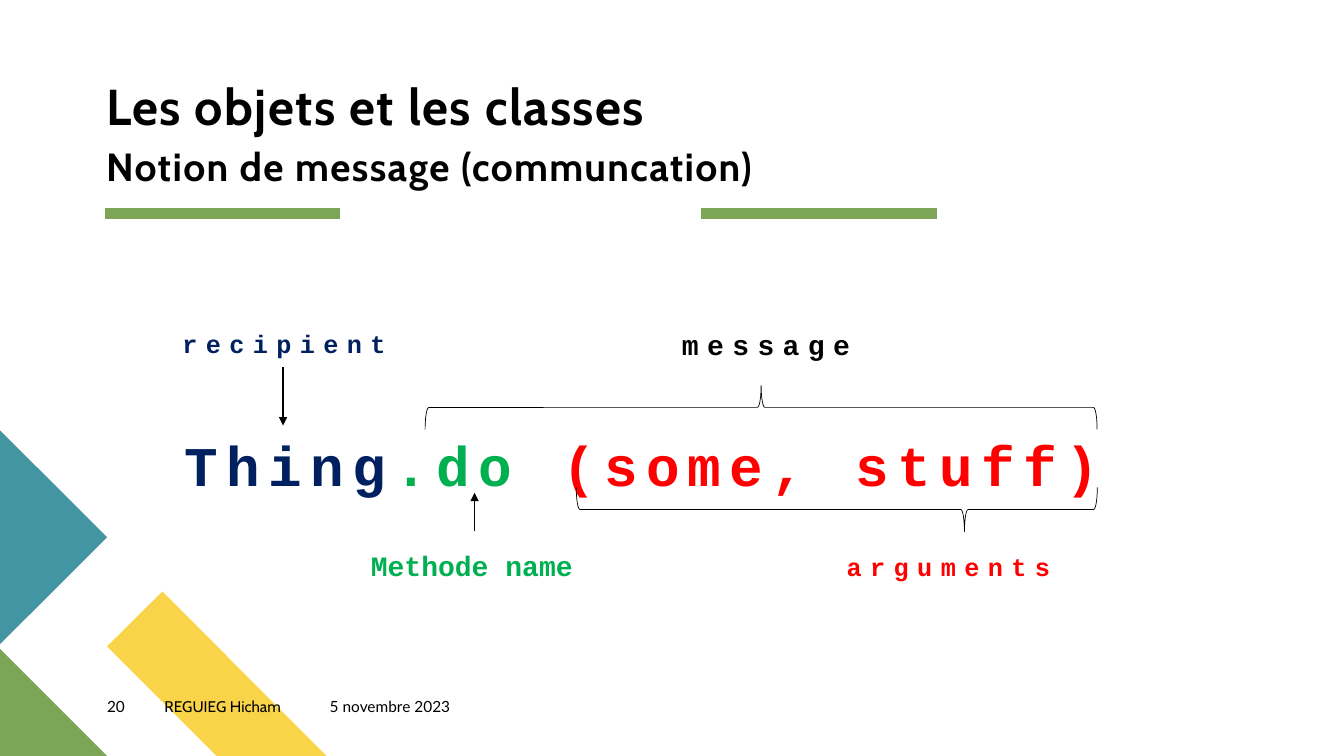
from dataclasses import dataclass

from lxml import etree
from pptx import Presentation
from pptx import util as u
from pptx.dml.color import RGBColor
from pptx.enum import shapes, text
from pptx.oxml import ns

BLACK = RGBColor(0x00, 0x00, 0x00)
NAVY = RGBColor(0x00, 0x20, 0x60)
GREEN = RGBColor(0x00, 0xB0, 0x50)
RED = RGBColor(0xFF, 0x00, 0x00)
LEAF = RGBColor(0x7C, 0xA6, 0x55)
YELLOW = RGBColor(0xF9, 0xD4, 0x48)
TEAL = RGBColor(0x44, 0x95, 0xA2)
CODE_FONT = "Courier New"


@dataclass
class Style:
    size: float
    font: str
    color: RGBColor
    bold: bool = True
    spacing: float = 0


@dataclass
class Label:
    wording: str
    left: float
    top: float
    width: float
    height: float
    style: Style


@dataclass
class Line:
    start: tuple[float, float]
    end: tuple[float, float]
    color: RGBColor
    weight: float
    arrow: bool = False


@dataclass
class Brace:
    left: float
    top: float
    width: float
    height: float
    rotation: float
    tip: float


@dataclass
class Decoration:
    points: list[tuple[float, float]]
    color: RGBColor


DECORATIONS = [
    Decoration([(233.3, 540), (154.8, 540), (76.5, 461.7), (116, 422.5)], YELLOW),
    Decoration([(76.5, 540), (0, 540), (0, 463.5)], LEAF),
    Decoration([(0, 307.4), (76.5, 383.8), (0, 460.2)], TEAL),
]

LINES = [
    Line((75, 152.7), (243, 152.7), LEAF, 8),
    Line((501, 152.7), (669, 152.7), LEAF, 8),
    Line((202.2, 262), (202.2, 304), BLACK, 1, True),
    Line((339, 379.5), (339, 352), BLACK, 1, True),
]

BRACES = [
    Brace(527.9, 51, 31.5, 480, 90, 0.5),
    Brace(582, 177.8, 31.5, 372.2, 270, 0.745),
]

FOOTERS = [
    Label("20", 76.5, 498, 41, 19.5, Style(11, "Lato", BLACK, False)),
    Label("REGUIEG Hicham", 117.5, 498, 118, 19.5, Style(11, "Cabin", BLACK, False)),
    Label("5 novembre 2023", 235.5, 498, 104, 19.5, Style(11, "Lato", BLACK, False)),
]

CAPTIONS = [
    Label("message", 480, 230.6, 144, 31.5, Style(20, CODE_FONT, BLACK, spacing=6)),
    Label("recipient", 123.2, 231, 172, 29, Style(18, CODE_FONT, NAVY, spacing=6)),
    Label("Methode name", 257.8, 388.5, 162, 31.5, Style(20, CODE_FONT, GREEN)),
    Label("arguments", 597.7, 390.2, 186.5, 29, Style(18, CODE_FONT, RED, spacing=6)),
]

CALL_PARTS = [("Thing", NAVY), (".do ", GREEN), ("(some, stuff)", RED)]


def format_run(run, style: Style) -> None:
    run.font.size = u.Pt(style.size)
    run.font.name = style.font
    run.font.bold = style.bold
    run.font.color.rgb = style.color
    if style.spacing:
        run.font._element.set("spc", str(round(style.spacing * 100)))


def clear_margins(frame) -> None:
    frame.margin_left = frame.margin_right = u.Pt(0)
    frame.margin_top = frame.margin_bottom = u.Pt(0)


def add_decoration(slide, decoration: Decoration) -> None:
    points = [(u.Pt(x), u.Pt(y)) for x, y in decoration.points]
    builder = slide.shapes.build_freeform(*points[0])
    builder.add_line_segments(points[1:], close=True)
    shape = builder.convert_to_shape()
    shape.shadow.inherit = False
    shape.fill.solid()
    shape.fill.fore_color.rgb = decoration.color
    shape.line.fill.background()


def add_line(slide, line: Line) -> None:
    connector = slide.shapes.add_connector(
        shapes.MSO_CONNECTOR.STRAIGHT, *(u.Pt(value) for value in line.start + line.end)
    )
    connector.line.color.rgb = line.color
    connector.line.width = u.Pt(line.weight)
    if line.arrow:
        outline = connector.line._get_or_add_ln()
        etree.SubElement(outline, ns.qn("a:tailEnd"), type="triangle")
    etree.SubElement(connector._element.spPr, ns.qn("a:effectLst"))


def add_brace(slide, brace: Brace) -> None:
    shape = slide.shapes.add_shape(
        shapes.MSO_SHAPE.LEFT_BRACE,
        u.Pt(brace.left), u.Pt(brace.top), u.Pt(brace.width), u.Pt(brace.height),
    )
    shape.rotation = brace.rotation
    shape.adjustments[0] = 0.083
    shape.adjustments[1] = brace.tip
    shape.shadow.inherit = False
    shape.fill.background()
    shape.line.color.rgb = BLACK
    shape.line.width = u.Pt(0.5)


def add_box(slide, left: float, top: float, width: float, height: float):
    box = slide.shapes.add_textbox(u.Pt(left), u.Pt(top), u.Pt(width), u.Pt(height))
    box.text_frame.word_wrap = True
    return box.text_frame


def add_label(slide, label: Label):
    frame = add_box(slide, label.left, label.top, label.width, label.height)
    frame.text = label.wording
    format_run(frame.paragraphs[0].runs[0], label.style)
    return frame


def add_call(slide) -> None:
    frame = add_box(slide, 124.6, 303.8, 681, 55.7)
    frame.word_wrap = False
    frame.auto_size = text.MSO_AUTO_SIZE.SHAPE_TO_FIT_TEXT
    for wording, color in CALL_PARTS:
        run = frame.paragraphs[0].add_run()
        run.text = wording
        format_run(run, Style(40, CODE_FONT, color, spacing=6))


def fill_title(title) -> None:
    title.left, title.top = u.Pt(75.8), u.Pt(21.6)
    title.width, title.height = u.Pt(490), u.Pt(113.8)
    frame = title.text_frame
    frame.text = "Les objets et les classes\vNotion de message (communcation)"
    frame.word_wrap = True
    frame.auto_size = text.MSO_AUTO_SIZE.NONE
    frame.vertical_anchor = text.MSO_ANCHOR.BOTTOM
    clear_margins(frame)
    paragraph = frame.paragraphs[0]
    paragraph.alignment = text.PP_ALIGN.LEFT
    paragraph.line_spacing = 1.15
    paragraph.space_before = u.Pt(0)
    paragraph.space_after = u.Pt(10)
    for run, size in zip(paragraph.runs, (36, 28)):
        format_run(run, Style(size, "Cabin", BLACK, spacing=1))


def main() -> None:
    presentation = Presentation()
    presentation.slide_width, presentation.slide_height = u.Pt(960), u.Pt(540)
    slide = presentation.slides.add_slide(presentation.slide_layouts[5])
    fill_title(slide.shapes.title)
    for decoration in DECORATIONS:
        add_decoration(slide, decoration)
    for line in LINES:
        add_line(slide, line)
    for footer in FOOTERS:
        clear_margins(add_label(slide, footer))
    add_call(slide)
    for brace in BRACES:
        add_brace(slide, brace)
    for caption in CAPTIONS:
        add_label(slide, caption).auto_size = text.MSO_AUTO_SIZE.SHAPE_TO_FIT_TEXT
    presentation.save("out.pptx")


if __name__ == "__main__":
    main()
